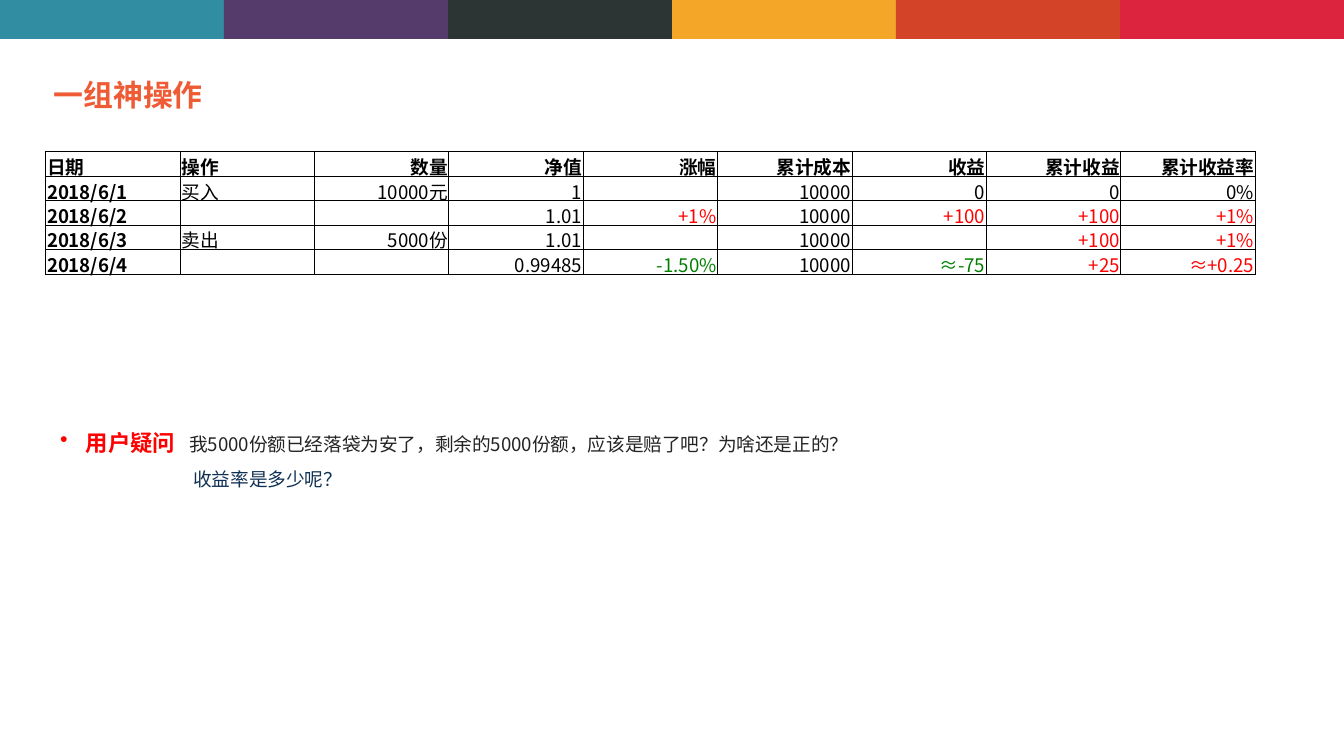
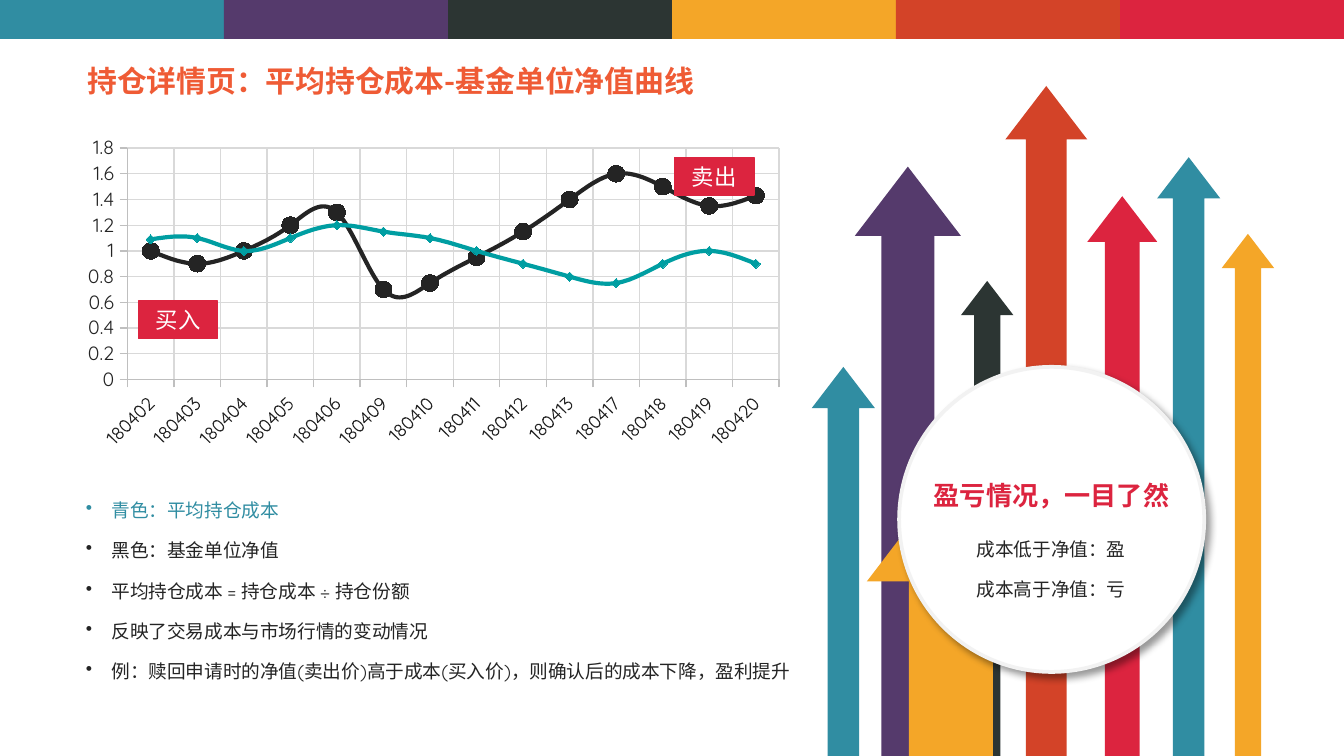
import pptx
import pptx.util
import pptx.chart.data
import pptx.dml.color
import pptx.enum.chart
import pptx.enum.shapes
import pptx.enum.text
import pptx.oxml
import pptx.oxml.ns
from lxml import etree

Inches = pptx.util.Inches
Pt = pptx.util.Pt
SHAPE = pptx.enum.shapes.MSO_SHAPE
ALIGN = pptx.enum.text.PP_ALIGN
ANCHOR = pptx.enum.text.MSO_ANCHOR
CHART = pptx.enum.chart

WIDE, HIGH = 10, 5.625
CJK, ROUND = "Noto Sans CJK SC", "Quicksand"
TEAL, PLUM, SLATE = "308DA2", "553A6C", "2C3533"
GOLD, RUST, CRIMSON = "F4A628", "D34328", "DC243F"
BAND = [TEAL, PLUM, SLATE, GOLD, RUST, CRIMSON]
INK, NAVY, CORAL, BLACK = "242424", "103154", "EF5B35", "000000"
WHITE, RED, GREEN = "FFFFFF", "FF0000", "008000"
SNUG = (0.07, 0.04, 0.07, 0.04)
ROOMY = (0.1, 0.05, 0.1, 0.05)


def tint(code):
    return pptx.dml.color.RGBColor.from_string(code)


def put(item, values):
    for name, value in values.items():
        setattr(item, name, value)


def node(owner, tag, **attrs):
    return etree.SubElement(owner, pptx.oxml.ns.qn(tag), attrs)


class Deck:
    def __init__(self):
        self.show = pptx.Presentation()
        put(self.show, {"slide_width": Inches(WIDE), "slide_height": Inches(HIGH)})
        self.slide = None

    def page(self, title, left, top, width):
        self.slide = self.show.slides.add_slide(self.show.slide_layouts[6])
        step = WIDE / len(BAND)
        for i, color in enumerate(BAND):
            self.shape(SHAPE.RECTANGLE, (i * step, 0, step, 0.29), color)
        self.text((left, top, width, 0.34), [title], SNUG, size=16, color=CORAL, bold=True)

    def font(self, font, size, color, bold=False, face=CJK):
        put(font, {"size": Pt(size), "bold": bold, "name": face})
        font.color.rgb = tint(color)

    def run(self, para, words, **style):
        run = para.add_run()
        run.text = words
        self.font(run.font, **style)
        node(run.font._element, "a:ea", typeface=CJK)

    def fill(self, frame, paras, inset, look=None, wrap=True, bullet=None, tab=None,
             before=0, **style):
        sides = ("margin_left", "margin_top", "margin_right", "margin_bottom")
        put(frame, {side: Inches(gap) for side, gap in zip(sides, inset)})
        put(frame, {"word_wrap": wrap})
        for i, runs in enumerate(paras):
            para = frame.add_paragraph() if i else frame.paragraphs[0]
            if bullet:
                props = para._p.get_or_add_pPr()
                put_off = {"marL": Inches(bullet), "indent": Inches(-0.19)}
                for name, value in put_off.items():
                    props.set(name, str(int(value)))
                node(props, "a:buChar", char="•")
                if tab:
                    stops = node(props, "a:tabLst")
                    node(stops, "a:tab", pos=str(int(Inches(tab))), algn="l")
            put(para, look or {})
            if i and before:
                para.space_before = Pt(before)
            for words, more in [(runs, {})] if isinstance(runs, str) else runs:
                self.run(para, words, **{**style, **more})

    def text(self, box, paras, inset=ROOMY, **style):
        item = self.slide.shapes.add_textbox(*map(Inches, box))
        self.fill(item.text_frame, paras, inset, **style)

    def shape(self, kind, box, color, line=None, weight=0.75):
        item = self.slide.shapes.add_shape(kind, *map(Inches, box))
        item.shadow.inherit = False
        item.fill.solid()
        item.fill.fore_color.rgb = tint(color)
        if line:
            item.line.color.rgb = tint(line)
            item.line.width = Pt(weight)
        else:
            item.line.fill.background()
        return item

    def label(self, left, top, words):
        item = self.shape(SHAPE.RECTANGLE, (left, top, 0.59, 0.28), CRIMSON, CRIMSON)
        self.fill(item.text_frame, [words], SNUG, {"alignment": ALIGN.CENTER},
                  size=12, color=WHITE, face=ROUND)

    def arrow(self, left, top, width, color):
        item = self.shape(SHAPE.UP_ARROW, (left, top, width, HIGH - top), color)
        item.adjustments[1] = 0.653

    def disc(self, box):
        item = self.shape(SHAPE.OVAL, box, WHITE, "F2F2F2", 2)
        glow = item._element.spPr.find(pptx.oxml.ns.qn("a:effectLst"))
        cast = node(glow, "a:outerShdw", blurRad=str(int(Pt(4))), dist=str(int(Pt(3))),
                    dir="2700000", algn="tl", rotWithShape="0")
        node(node(cast, "a:srgbClr", val=BLACK), "a:alpha", val="40000")

    def table(self, box, rows):
        grid = self.slide.shapes.add_table(len(rows), len(rows[0]), *map(Inches, box)).table
        put(grid, {"first_row": False, "horz_banding": False})
        for r, row in enumerate(rows):
            for c, words in enumerate(row):
                cell = grid.cell(r, c)
                self.cell(cell, words, r == 0 or c == 0, c > 1)

    def cell(self, cell, words, bold, right):
        color = BLACK
        if words.startswith(("+", "≈+")):
            color = RED
        elif words.startswith(("-", "≈-")):
            color = GREEN
        if words:
            look = {"alignment": ALIGN.RIGHT if right else ALIGN.LEFT}
            self.fill(cell.text_frame, [words], ROOMY, look, size=10, color=color, bold=bold)
        else:
            node(cell.text_frame.paragraphs[0]._p, "a:endParaRPr", sz="1000")
        put(cell, {"margin_left": Inches(0.01), "margin_top": Inches(0.01),
                   "margin_right": Inches(0.01), "margin_bottom": 0,
                   "vertical_anchor": ANCHOR.BOTTOM})
        props = cell._tc.get_or_add_tcPr()
        for side in ("a:lnL", "a:lnR", "a:lnT", "a:lnB"):
            line = node(props, side, w=str(int(Pt(0.5))))
            node(node(line, "a:solidFill"), "a:srgbClr", val=BLACK)
        cell.fill.background()

    def chart(self, box, days, lines):
        data = pptx.chart.data.CategoryChartData()
        data.categories = days
        for i, line in enumerate(lines, 1):
            data.add_series(f"Series {i}", line[0])
        chart = self.slide.shapes.add_chart(
            CHART.XL_CHART_TYPE.LINE_MARKERS, *map(Inches, box), data).chart
        put(chart, {"has_legend": False, "has_title": False})
        self.font(chart.font, 10, INK, face=ROUND)
        plot = chart.plots[0]
        plot.vary_by_categories = False
        for series, (_, color, kind, size) in zip(plot.series, lines):
            series.smooth = True
            series.format.line.color.rgb = tint(color)
            series.format.line.width = Pt(2.25)
            put(series.marker, {"style": kind, "size": size})
            paint = series.marker.format
            paint.fill.solid()
            paint.fill.fore_color.rgb = tint(color)
            paint.line.color.rgb = tint(color)
        for axis, size in ((chart.category_axis, 10), (chart.value_axis, 10.5)):
            put(axis, {"has_major_gridlines": True,
                       "major_tick_mark": CHART.XL_TICK_MARK.OUTSIDE})
            self.font(axis.tick_labels.font, size, INK, face=ROUND)
            for line, color in ((axis.format.line, "BFBFBF"),
                                (axis.major_gridlines.format.line, "D9D9D9")):
                line.color.rgb = tint(color)
                line.width = Pt(0.75)
        put(chart.value_axis, {"minimum_scale": 0, "maximum_scale": 1.8, "major_unit": 0.2})
        put(chart.value_axis.tick_labels, {"number_format": "General",
                                           "number_format_is_linked": False})
        body = chart.category_axis._element.find(pptx.oxml.ns.qn("c:txPr"))
        body.find(pptx.oxml.ns.qn("a:bodyPr")).set("rot", "-2700000")
        area = chart._chartSpace.chart.plotArea
        old = area.find(pptx.oxml.ns.qn("c:layout"))
        if old is not None:
            area.remove(old)
        frame = etree.Element(pptx.oxml.ns.qn("c:layout"))
        area.insert(0, frame)
        spot = node(frame, "c:manualLayout")
        for tag, value in (("layoutTarget", "inner"), ("xMode", "edge"), ("yMode", "edge"),
                           ("x", "0.076"), ("y", "0.02"), ("w", "0.903"), ("h", "0.738")):
            node(spot, "c:" + tag, val=value)


def trades(deck):
    deck.page("一组神操作", 0.33, 0.53, 5.21)
    deck.table((0.34, 1.13, 9, 0.91), [
        ["日期", "操作", "数量", "净值", "涨幅", "累计成本", "收益", "累计收益", "累计收益率"],
        ["2018/6/1", "买入", "10000元", "1", "", "10000", "0", "0", "0%"],
        ["2018/6/2", "", "", "1.01", "+1%", "10000", "+100", "+100", "+1%"],
        ["2018/6/3", "卖出", "5000份", "1.01", "", "10000", "", "+100", "+1%"],
        ["2018/6/4", "", "", "0.99485", "-1.50%", "10000", "≈-75", "+25", "≈+0.25"],
    ])
    ask = [("用户疑问\t", {"size": 12, "color": RED, "bold": True}),
           ("我5000份额已经落袋为安了，剩余的5000份额，应该是赔了吧？为啥还是正的？", {})]
    deck.text((0.34, 3.04, 6.96, 0.39), [ask], look={"line_spacing": 1.5,
              "alignment": ALIGN.JUSTIFY}, bullet=0.2, tab=0.97, size=10, color=INK)
    deck.text((1.34, 3.43, 1.32, 0.27), ["收益率是多少呢？"], wrap=False,
              size=10, color=NAVY, face=ROUND)


def curves(deck):
    deck.page("持仓详情页：平均持仓成本-基金单位净值曲线", 0.58, 0.43, 4.83)
    for arrow in ((6.36, 1.24, 0.79, PLUM), (6.04, 2.73, 0.47, TEAL),
                  (7.15, 2.09, 0.39, SLATE), (7.48, 0.64, 0.61, RUST),
                  (6.45, 3.51, 1.25, GOLD), (8.09, 1.46, 0.52, CRIMSON),
                  (8.61, 1.17, 0.47, TEAL), (9.09, 1.74, 0.39, GOLD)):
        deck.arrow(*arrow)
    deck.disc((6.69, 2.73, 2.27, 2.27))
    center = {"alignment": ALIGN.CENTER}
    loose = {"line_spacing": 1.3}
    deck.text((6.86, 3.9, 1.92, 0.62), ["成本低于净值：盈", "成本高于净值：亏"],
              look={**center, **loose}, before=6, size=10, color=INK, face=ROUND)
    deck.text((6.84, 3.52, 1.97, 0.34), ["盈亏情况，一目了然"], look=center, wrap=False,
              size=14, color=CRIMSON, bold=True, face=ROUND)
    days = [f"1804{day:02}" for day in (2, 3, 4, 5, 6, 9, 10, 11, 12, 13, 17, 18, 19, 20)]
    worth = [1, 0.9, 1, 1.2, 1.3, 0.7, 0.75, 0.95, 1.15, 1.4, 1.6, 1.5, 1.35, 1.43]
    cost = [1.09, 1.1, 1, 1.1, 1.2, 1.15, 1.1, 1, 0.9, 0.8, 0.75, 0.9, 1, 0.9]
    mark = CHART.XL_MARKER_STYLE
    deck.chart((0.54, 1.01, 5.37, 2.38), days,
               [(worth, INK, mark.CIRCLE, 9), (cost, "009EA2", mark.DIAMOND, 5)])
    deck.text((0.57, 3.62, 5.44, 1.51), [
        [("青色：平均持仓成本", {"color": TEAL})],
        "黑色：基金单位净值",
        "平均持仓成本 = 持仓成本 ÷ 持仓份额",
        "反映了交易成本与市场行情的变动情况",
        "例：赎回申请时的净值(卖出价)高于成本(买入价)，则确认后的成本下降，盈利提升",
    ], SNUG, look=loose, bullet=0.19, before=6, size=10, color=INK, face=ROUND)
    deck.label(1.03, 2.24, "买入")
    deck.label(5.02, 1.17, "卖出")


def main():
    deck = Deck()
    trades(deck)
    curves(deck)
    deck.show.save("out.pptx")


if __name__ == "__main__":
    main()
